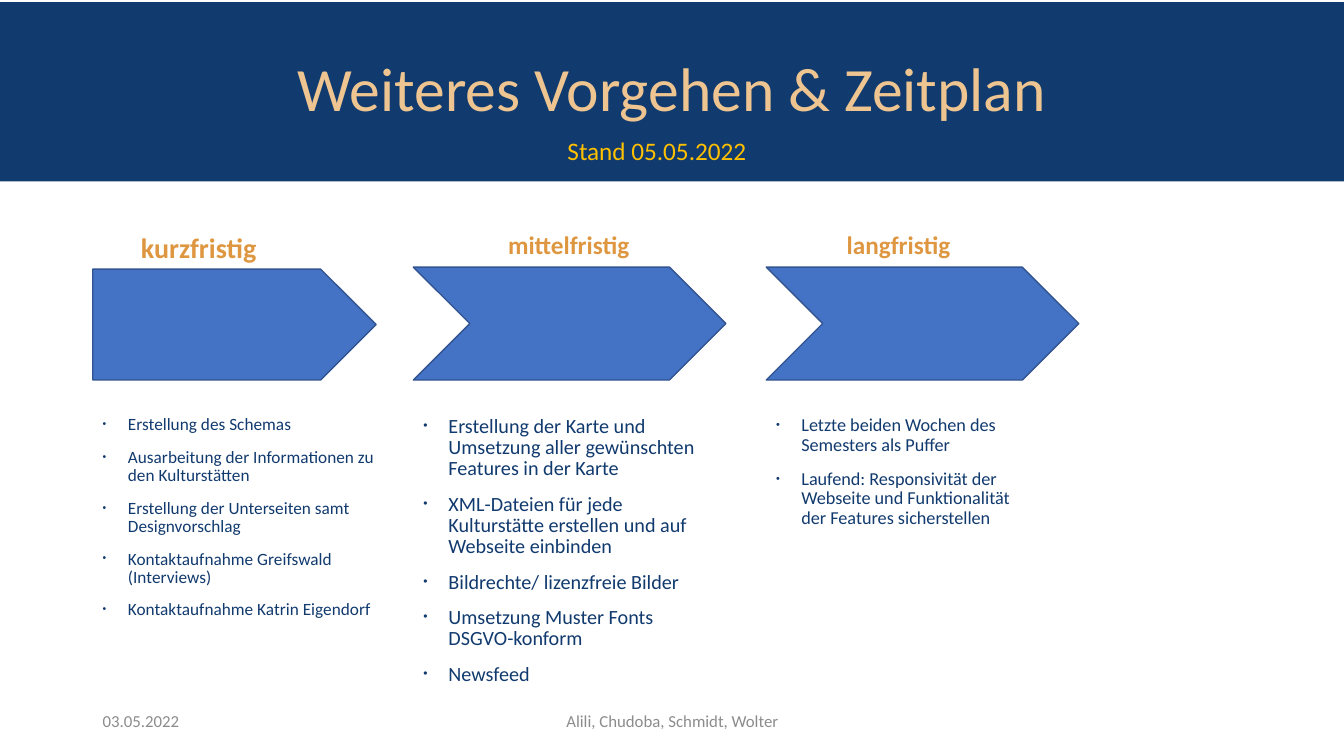
"""Build the slide with the three-phase schedule and next steps."""
from dataclasses import dataclass

from lxml import etree
from pptx import Presentation
from pptx.dml.color import RGBColor
from pptx.enum.shapes import MSO_SHAPE
from pptx.enum.text import MSO_ANCHOR, PP_ALIGN
from pptx.oxml.ns import qn
from pptx.util import Inches, Pt

PENTAGON, CHEVRON = MSO_SHAPE.PENTAGON, MSO_SHAPE.CHEVRON
LEFT, CENTER = PP_ALIGN.LEFT, PP_ALIGN.CENTER
TOP, MIDDLE = MSO_ANCHOR.TOP, MSO_ANCHOR.MIDDLE

TITLE = "Weiteres Vorgehen & Zeitplan"
STATUS = "Stand 05.05.2022"
DATE = "03.05.2022"
AUTHORS = "Alili, Chudoba, Schmidt, Wolter"

PHASES = [
    {
        "name": "kurzfristig", "name_box": (1.3, 2.24, 1.44, 0.43), "name_size": 20,
        "arrow": PENTAGON, "arrow_box": (0.92, 2.67, 2.81, 1.1),
        "list_size": (3.19, 2.81), "text_size": 12.3, "line_spacing": 0.89,
        "tasks": [
            "Erstellung des Schemas",
            "Ausarbeitung der Informationen zu den Kulturstätten",
            "Erstellung der Unterseiten samt Designvorschlag",
            "Kontaktaufnahme Greifswald (Interviews)",
            "Kontaktaufnahme Katrin Eigendorf",
        ],
    },
    {
        "name": "mittelfristig", "name_box": (4.94, 2.23, 1.58, 0.4), "name_size": 18,
        "arrow": CHEVRON, "arrow_box": (4.1, 2.65, 3.1, 1.12),
        "list_size": (3.1, 3.15), "text_size": 14.4, "line_spacing": 0.88,
        "tasks": [
            "Erstellung der Karte und Umsetzung aller gewünschten Features in der Karte",
            "XML-Dateien für jede Kulturstätte erstellen und auf Webseite einbinden",
            "Bildrechte/ lizenzfreie Bilder",
            "Umsetzung Muster Fonts DSGVO-konform",
            "Newsfeed",
        ],
    },
    {
        "name": "langfristig", "name_box": (8.3, 2.23, 1.24, 0.4), "name_size": 18,
        "arrow": CHEVRON, "arrow_box": (7.6, 2.65, 3.1, 1.12),
        "list_size": (2.73, 2.2), "text_size": 13, "line_spacing": 0.9,
        "tasks": [
            "Letzte beiden Wochen des Semesters als Puffer",
            "Laufend: Responsivität der Webseite und Funktionalität der Features sicherstellen",
        ],
    },
]
LIST_TOP = 4.08


@dataclass(frozen=True)
class Theme:
    """Font, colours and type sizes of the slide."""
    font: str = "Calibri"
    navy: str = "113A6E"
    sand: str = "EEC591"
    orange: str = "DE9740"
    gold: str = "FFC000"
    grey: str = "8C8C8C"
    blue: str = "4472C4"
    outline: str = "325491"
    title: int = 44
    status: int = 18
    footer: int = 12


THEME = Theme()


def rgb(value):
    """Return a colour from its hex value."""
    return RGBColor.from_string(value)


def inches(box):
    """Convert a tuple of numbers to lengths."""
    return [Inches(v) for v in box]


def write(shape, lines, size, color, align=LEFT, anchor=TOP, bold=False, wrap=True):
    """Fill a shape with formatted paragraphs."""
    tf = shape.text_frame
    tf.text = "\n".join(lines)
    tf.word_wrap = wrap
    tf.vertical_anchor = anchor
    for p in tf.paragraphs:
        p.alignment = align
        for r in p.runs:
            r.font.name = THEME.font
            r.font.size = Pt(size)
            r.font.bold = bold
            r.font.color.rgb = rgb(color)
    return tf


def add_text(slide, box, lines, size, color, **options):
    """Add a text box and return its text frame."""
    return write(slide.shapes.add_textbox(*inches(box)), lines, size, color, **options)


def add_bullet(p, line_spacing):
    """Give a paragraph a small hanging bullet."""
    p.line_spacing = line_spacing
    p.space_before = Pt(10)
    pPr = p._p.get_or_add_pPr()
    pPr.set("marL", str(Inches(0.25)))
    pPr.set("indent", str(-Inches(0.25)))
    etree.SubElement(pPr, qn("a:buSzPct")).set("val", "60000")
    etree.SubElement(pPr, qn("a:buFont")).set("typeface", "Arial")
    etree.SubElement(pPr, qn("a:buChar")).set("char", "•")


def add_title(slide):
    """Turn the title placeholder into the header band."""
    title = slide.shapes.title
    title.left, title.top, title.width, title.height = inches((0, 0.02, 13.33, 1.78))
    title.fill.solid()
    title.fill.fore_color.rgb = rgb(THEME.navy)
    tf = write(title, [TITLE], THEME.title, THEME.sand, align=CENTER, anchor=MIDDLE)
    tf.paragraphs[0].line_spacing = 0.9


def add_phase(slide, phase):
    """Add the arrow, heading and task list of a phase."""
    arrow = slide.shapes.add_shape(phase["arrow"], *inches(phase["arrow_box"]))
    arrow.shadow.inherit = False
    arrow.fill.solid()
    arrow.fill.fore_color.rgb = rgb(THEME.blue)
    arrow.line.color.rgb = rgb(THEME.outline)
    arrow.line.width = Pt(1)
    add_text(slide, phase["name_box"], [phase["name"]], phase["name_size"],
             THEME.orange, bold=True)
    list_box = (phase["arrow_box"][0], LIST_TOP, *phase["list_size"])
    tf = add_text(slide, list_box, phase["tasks"], phase["text_size"], THEME.navy)
    for p in tf.paragraphs:
        add_bullet(p, phase["line_spacing"])


def main():
    """Build and save the presentation."""
    prs = Presentation()
    prs.slide_width, prs.slide_height = Inches(13.33), Inches(7.5)
    s = prs.slides.add_slide(prs.slide_layouts.get_by_name("Title Only"))
    add_title(s)
    add_text(s, (5.53, 1.29, 1.98, 0.4), [STATUS], THEME.status, THEME.gold, wrap=False)
    for phase in PHASES:
        add_phase(s, phase)
    add_text(s, (0.92, 6.95, 3, 0.4), [DATE], THEME.footer, THEME.grey, anchor=MIDDLE)
    add_text(s, (4.42, 6.95, 4.5, 0.4), [AUTHORS], THEME.footer, THEME.grey,
             align=CENTER, anchor=MIDDLE)
    prs.save("out.pptx")


if __name__ == "__main__":
    main()
